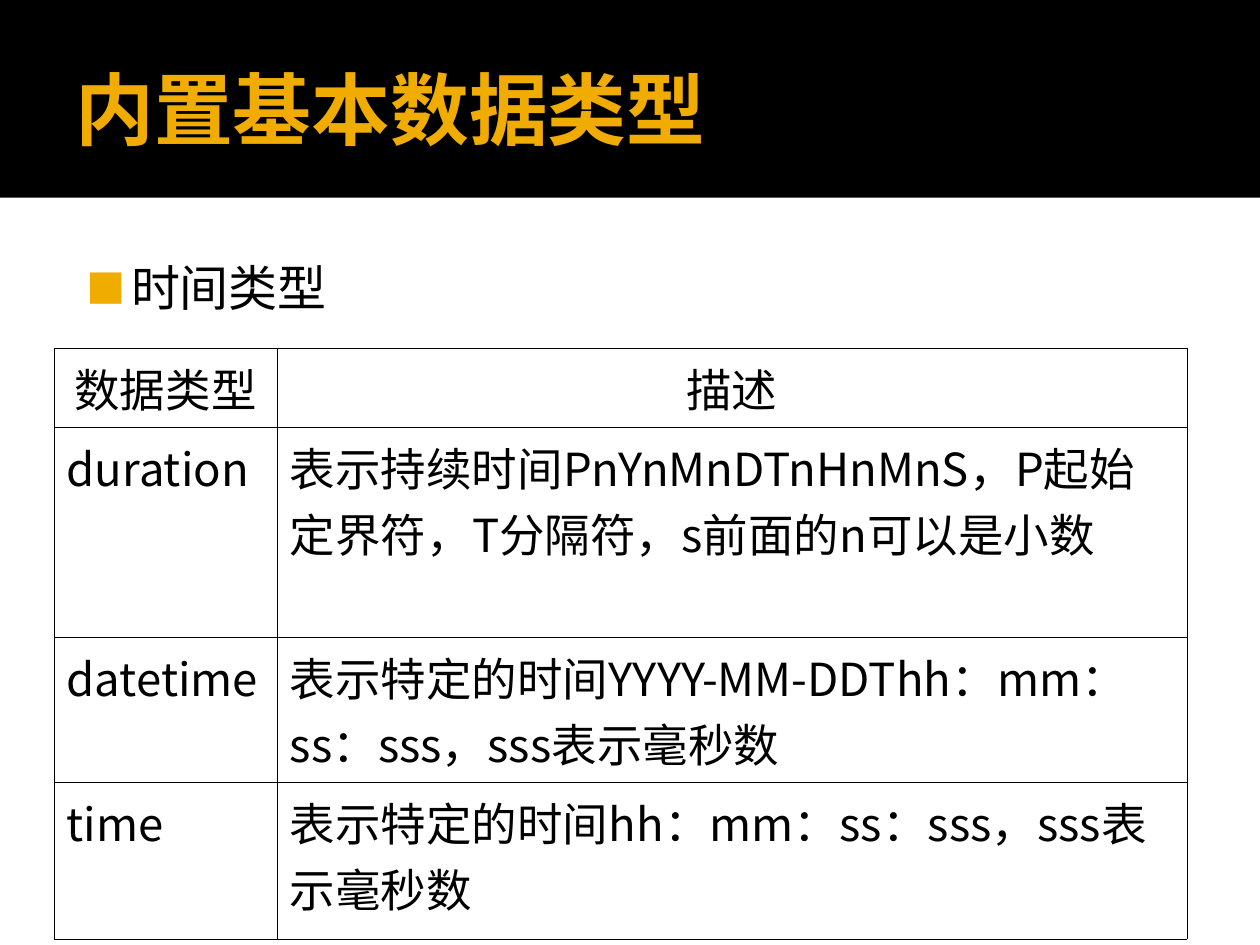
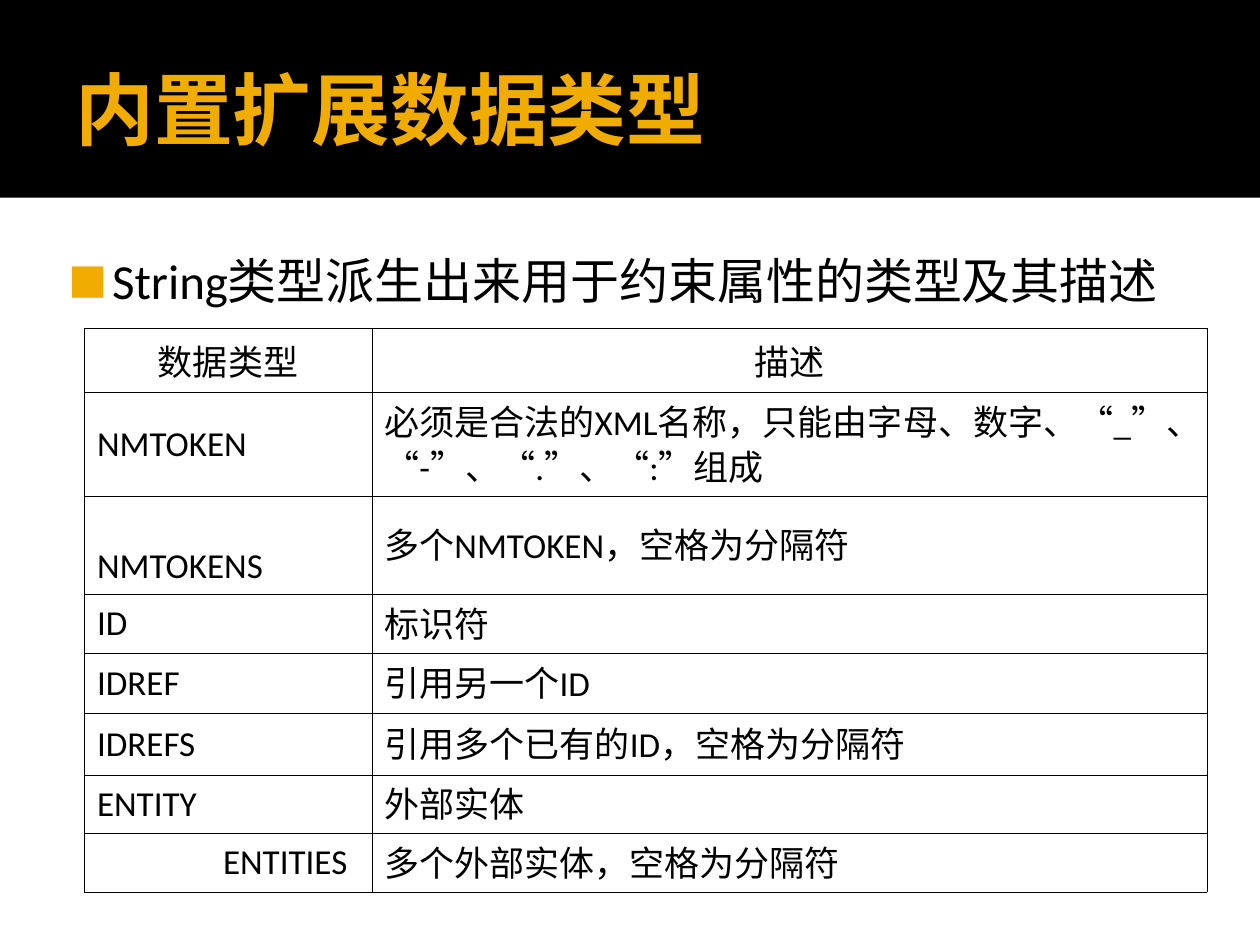
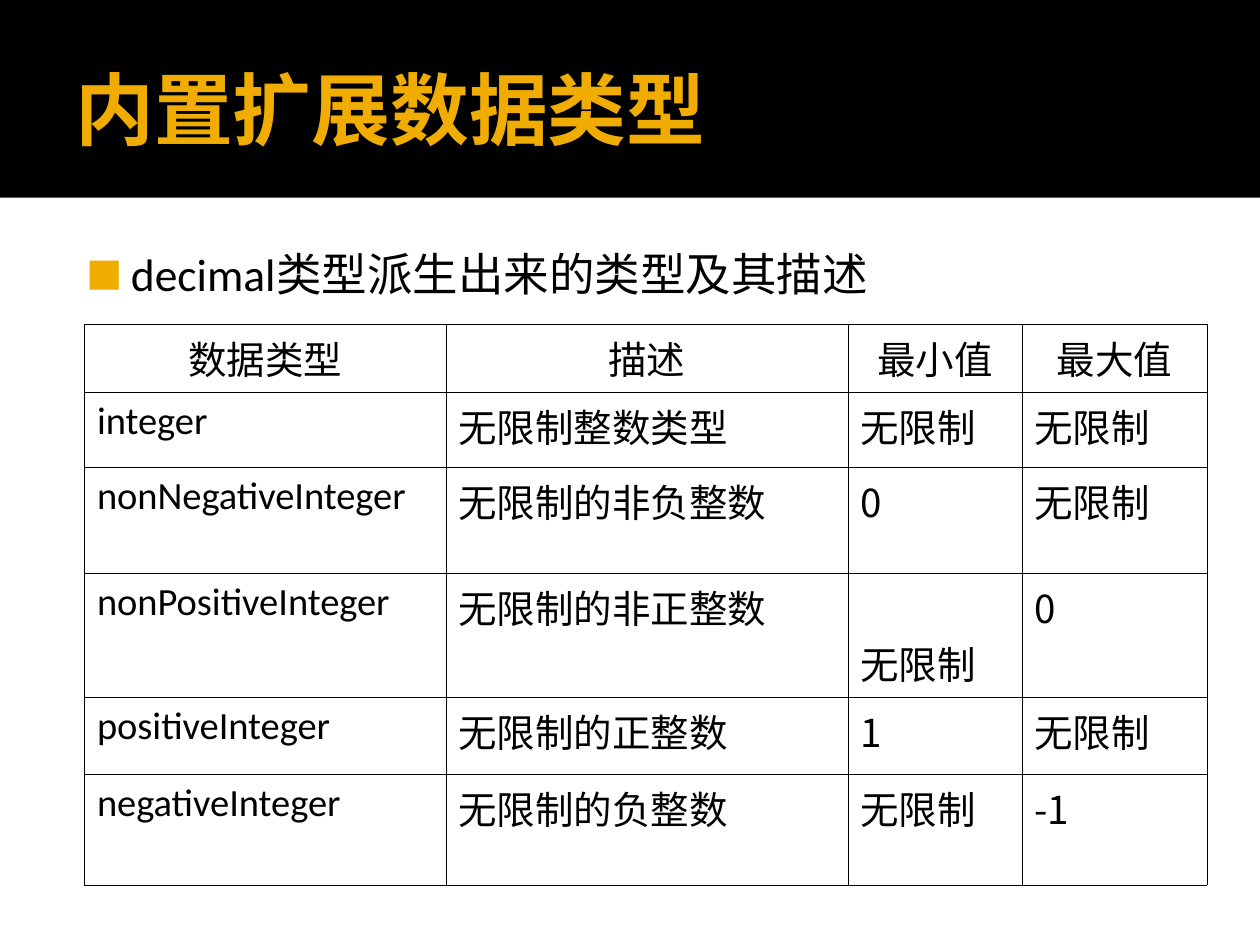
from lxml.etree import SubElement
from pptx import Presentation
from pptx.dml.color import RGBColor
from pptx.enum.lang import MSO_LANGUAGE_ID
from pptx.enum.shapes import MSO_SHAPE
from pptx.enum.text import MSO_ANCHOR, PP_ALIGN
from pptx.oxml.ns import qn
from pptx.util import Pt

WIDE, HIGH = 720, 540
BLACK, GOLD = "000000", "F0AC00"
LATIN, HAN = "Calibri", "Noto Sans CJK SC"
BAND = (0, 0, WIDE, 113)
TITLE = (36, 12.24, 648, 98.64)


def tint(code):
    return RGBColor.from_string(code)


def place(box):
    return [Pt(size) for size in box]


def inset(frame, left, top, right, bottom):
    frame.margin_left, frame.margin_top = Pt(left), Pt(top)
    frame.margin_right, frame.margin_bottom = Pt(right), Pt(bottom)


def bullet(props):
    color = SubElement(props, qn("a:buClr"))
    SubElement(color, qn("a:srgbClr"), val=GOLD)
    SubElement(props, qn("a:buSzPct"), val="80000")
    SubElement(props, qn("a:buFont"), typeface=HAN)
    SubElement(props, qn("a:buChar"), char="■")


def write(frame, text, size, face=LATIN, color=BLACK, bold=False,
          align=PP_ALIGN.LEFT, space=1.0, indent=0, hang=0, mark=False):
    para = frame.paragraphs[0]
    para.alignment = align
    para.line_spacing = space
    props = para._p.get_or_add_pPr()
    props.set("marL", str(Pt(indent)))
    props.set("indent", str(-Pt(hang)))
    if mark:
        bullet(props)
    run = para.add_run()
    run.text = text
    font = run.font
    font.size, font.name, font.bold = Pt(size), face, bold
    font.color.rgb = tint(color)
    font.language_id = MSO_LANGUAGE_ID.SIMPLIFIED_CHINESE
    SubElement(run._r.get_or_add_rPr(), qn("a:ea"), typeface=HAN)


def head(slide, text):
    band = slide.shapes.add_shape(MSO_SHAPE.RECTANGLE, *place(BAND))
    band.shadow.inherit = False
    band.fill.solid()
    band.fill.fore_color.rgb = tint(BLACK)
    band.line.fill.background()
    frame = slide.shapes.add_textbox(*place(TITLE)).text_frame
    frame.word_wrap = True
    frame.vertical_anchor = MSO_ANCHOR.MIDDLE
    inset(frame, 7.2, 3.6, 3.6, 3.6)
    write(frame, text, 45, color=GOLD, bold=True)


def topic(slide, box, text, size, space):
    frame = slide.shapes.add_textbox(*place(box)).text_frame
    frame.word_wrap = True
    inset(frame, 4.32, 7.2, 7.2, 3.6)
    write(frame, text, size, space=space, indent=34.56, hang=25.2, mark=True)


def edge(cell):
    props = cell._tc.get_or_add_tcPr()
    for spot, side in enumerate(("lnL", "lnR", "lnT", "lnB")):
        line = props.makeelement(qn("a:" + side), {"w": str(Pt(0.23))})
        fill = SubElement(line, qn("a:solidFill"))
        SubElement(fill, qn("a:srgbClr"), val=BLACK)
        props.insert(spot, line)


def grid(slide, spot, cols, tall, rows, size, faces,
         anchor=MSO_ANCHOR.TOP, space=1.0, low=(), shift=()):
    box = (*spot, sum(cols), sum(tall))
    table = slide.shapes.add_table(len(rows), len(cols), *place(box)).table
    table.first_row = table.horz_banding = False
    for col, width in zip(table.columns, cols):
        col.width = Pt(width)
    for row, height in zip(table.rows, tall):
        row.height = Pt(height)
    for y, row in enumerate(rows):
        for x, text in enumerate(row):
            cell = table.cell(y, x)
            cell.fill.background()
            edge(cell)
            inset(cell, 7.2, 3.6, 7.2, 3.6)
            cell.vertical_anchor = MSO_ANCHOR.BOTTOM if (y, x) in low else anchor
            write(cell.text_frame, text, size, face=faces[x],
                  align=PP_ALIGN.LEFT if y else PP_ALIGN.CENTER,
                  space=space if x and y else 1.0,
                  indent=72 if (y, x) in shift else 0)


TIMES = [
    ("数据类型", "描述"),
    ("duration", "表示持续时间PnYnMnDTnHnMnS，P起始定界符，T分隔符，s前面的n可以是小数"),
    ("datetime", "表示特定的时间YYYY-MM-DDThh：mm：ss：sss，sss表示毫秒数"),
    ("time", "表示特定的时间hh：mm：ss：sss，sss表示毫秒数"),
]
STRINGS = [
    ("数据类型", "描述"),
    ("NMTOKEN", "必须是合法的XML名称，只能由字母、数字、“_”、“-”、“.”、“:”组成"),
    ("NMTOKENS", "多个NMTOKEN，空格为分隔符"),
    ("ID", "标识符"),
    ("IDREF", "引用另一个ID"),
    ("IDREFS", "引用多个已有的ID，空格为分隔符"),
    ("ENTITY", "外部实体"),
    ("ENTITIES", "多个外部实体，空格为分隔符"),
]
NUMBERS = [
    ("数据类型", "描述", "最小值", "最大值"),
    ("integer", "无限制整数类型", "无限制", "无限制"),
    ("nonNegativeInteger", "无限制的非负整数", "0", "无限制"),
    ("nonPositiveInteger", "无限制的非正整数", "无限制", "0"),
    ("positiveInteger", "无限制的正整数", "1", "无限制"),
    ("negativeInteger", "无限制的负整数", "无限制", "-1"),
]


def main():
    deck = Presentation()
    deck.slide_width, deck.slide_height = Pt(WIDE), Pt(HIGH)

    def start(text):
        slide = deck.slides.add_slide(deck.slide_layouts[6])
        head(slide, text)
        return slide

    slide = start("内置基本数据类型")
    topic(slide, (36, 139.68, 318.24, 364.32), "时间类型", 28, 1.0)
    grid(slide, (30.96, 199), (127.44, 519.84), (45.1, 120, 82.9, 89.7),
         TIMES, 26, (HAN, HAN))

    slide = start("内置扩展数据类型")
    topic(slide, (25.2, 139.68, 658.8, 364.32),
          "String类型派生出来用于约束属性的类型及其描述", 28, 0.9)
    grid(slide, (48.24, 187.6), (164.16, 477.36),
         (36.6, 59.4, 56, 33.7, 34.3, 35.4, 33.2, 33.7),
         STRINGS, 20, (LATIN, LATIN), anchor=MSO_ANCHOR.MIDDLE, space=0.9,
         low={(2, 0)}, shift={(7, 0)})

    slide = start("内置扩展数据类型")
    topic(slide, (36, 139.68, 648, 364.32),
          "decimal类型派生出来的类型及其描述", 26, 0.8)
    grid(slide, (48.24, 185.1), (206.64, 229.68, 99.36, 105.84),
         (38.9, 42.9, 60.6, 70.9, 44, 63.4),
         NUMBERS, 22, (LATIN, LATIN, HAN, HAN), low={(3, 2)})

    deck.save("out.pptx")


if __name__ == "__main__":
    main()
